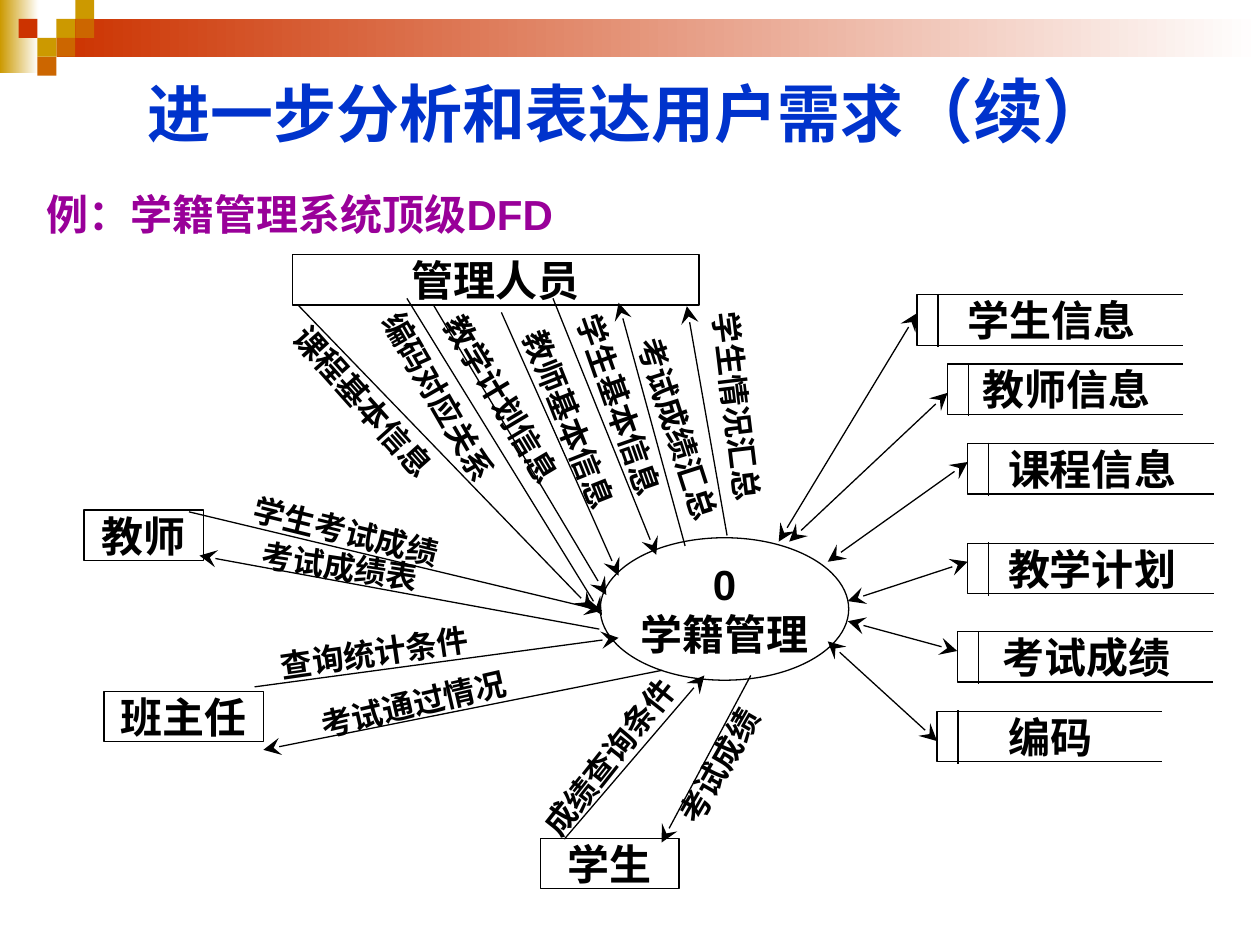
import pptx
import pptx.util
import pptx.dml.color
import pptx.enum.shapes
import pptx.enum.text
from lxml import etree

Pt = pptx.util.Pt
RGB = pptx.dml.color.RGBColor.from_string
SHAPE = pptx.enum.shapes.MSO_SHAPE
ALIGN = pptx.enum.text.PP_ALIGN
ANCHOR = pptx.enum.text.MSO_ANCHOR
FIT = pptx.enum.text.MSO_AUTO_SIZE
A = "{http://schemas.openxmlformats.org/drawingml/2006/main}"
C = {"gold": "CC9900", "red": "CC3300", "orange": "CC6600", "blue": "0033CC",
     "purple": "990099", "black": "000000", "white": "FFFFFF"}

prs = pptx.Presentation()
prs.slide_width, prs.slide_height = Pt(720), Pt(540)
s = prs.slides.add_slide(prs.slide_layouts[5])


def write(sp, text, size, color="black", align=ALIGN.LEFT, inset=0):
    tf = sp.text_frame
    tf.text = text
    tf.word_wrap = True
    tf.margin_left = tf.margin_right = Pt(inset)
    tf.margin_top = tf.margin_bottom = Pt(inset / 2)
    for p in tf.paragraphs:
        p.alignment = align
        for r in p.runs:
            r.font.name, r.font.size, r.font.bold = "Arial", Pt(size), True
            r.font.color.rgb = RGB(C[color])
    return tf


def connect(x1, y1, x2, y2, color="black", width=0.75, ends=()):
    cn = s.shapes.add_connector(pptx.enum.shapes.MSO_CONNECTOR.STRAIGHT,
                                Pt(x1), Pt(y1), Pt(x2), Pt(y2))
    cn.line.color.rgb = RGB(C[color])
    cn.line.width = Pt(width)
    for end in ends:
        etree.SubElement(cn.line._get_or_add_ln(), A + end,
                         type="stealth", w="lg", len="lg")
    etree.SubElement(cn._element.spPr, A + "effectLst")


# Fading bars in the top band
for x, y, w, h, color in [(0, 0, 22, 42, "gold"), (32.4, 10.8, 687.6, 21.6, "red")]:
    sp = s.shapes.add_shape(SHAPE.RECTANGLE, Pt(x), Pt(y), Pt(w), Pt(h))
    sp.shadow.inherit = False
    sp.line.fill.background()
    sp.fill.gradient()
    sp.fill.gradient_angle = 0
    for stop, name, position in zip(sp.fill.gradient_stops, (color, "white"), (0, 1)):
        stop.color.rgb = RGB(C[name])
        stop.position = position

# Mosaic squares, by column and row
side = 10.8
for col, row, color in [(3, 1, "gold"), (4, 0, "gold"), (4, 1, "orange"), (2, 3, "gold"),
                        (1, 1, "red"), (3, 2, "orange"), (2, 3, "orange"), (2, 2, "gold")]:
    if (col, row, color) == (2, 3, "gold"):
        continue
    sp = s.shapes.add_shape(SHAPE.RECTANGLE, Pt(col * side - 0.2), Pt(row * side),
                            Pt(side), Pt(side))
    sp.shadow.inherit = False
    sp.line.fill.background()
    sp.fill.solid()
    sp.fill.fore_color.rgb = RGB(C[color])

# Title and subtitle
title = s.shapes.title
title.left, title.top, title.width, title.height = Pt(36), Pt(36), Pt(648), Pt(52.6)
tf = write(title, "进一步分析和表达用户需求", 36, "blue", ALIGN.CENTER, 7.2)
tf.vertical_anchor = ANCHOR.MIDDLE
tf.auto_size = FIT.NONE
r = tf.paragraphs[0].add_run()
r.text = "（续）"
r.font.name, r.font.size, r.font.bold = "Arial", Pt(40), True
r.font.color.rgb = RGB(C["blue"])

sp = s.shapes.add_textbox(Pt(19.5), Pt(100), Pt(675), Pt(45))
p = write(sp, "例：学籍管理系统顶级DFD", 24, "purple", inset=7.2).paragraphs[0]
p.line_spacing, p.space_before = 1.15, Pt(4.5)

# Process, external entities and data stores
box_h = 28.8
stores = [("学生信息", 524, 168.5, 153.5), ("教师信息", 541.5, 208, 136),
          ("课程信息", 553, 253.5, 142), ("教学计划", 553, 310.5, 142),
          ("考试成绩", 547, 361, 147.5), ("编码", 535.5, 406.5, 130)]
entities = [("教师", 48, 291.5, 68.5), ("管理人员", 167, 145.5, 232.5),
            ("学生", 309, 479, 79), ("班主任", 59.5, 395, 91)]
nodes = [("0\n学籍管理", 343, 307.3, 142, 81.4, SHAPE.OVAL)]
nodes += [(*box, box_h, SHAPE.RECTANGLE) for box in entities + stores]
for text, x, y, w, h, kind in nodes:
    sp = s.shapes.add_shape(kind, Pt(x), Pt(y), Pt(w), Pt(h))
    sp.shadow.inherit = False
    sp.fill.background()
    sp.line.color.rgb = RGB(C["black"])
    sp.line.width = Pt(0.75)
    tf = write(sp, text, 24, align=ALIGN.CENTER)
    tf.vertical_anchor = ANCHOR.MIDDLE
    tf.auto_size = FIT.SHAPE_TO_FIT_TEXT

# Each store has a divider and an open right side
for text, x, y, w in stores:
    connect(x + 12, y - 0.5, x + 12, y + 30)
    connect(x + w, y - 0.5, x + w, y + 30, "white", 3)

# Two-way flows between the process and the stores
for ends in [(445, 309.5, 524, 179), (451, 309.5, 541.5, 224.5), (473, 321, 553, 264),
             (484.5, 343.5, 553, 321), (484.5, 355, 547, 372), (473, 366.5, 535.5, 423.5)]:
    connect(*ends, ends=("headEnd", "tailEnd"))

# Labelled flows: start and end of arrow, then label left, top, width, rotation
flows = [
    ("学生情况汇总", (415.5, 306, 392.5, 175), (363.5, 225.5, 116.5, 83.1)),
    ("考试成绩汇总", (391.5, 312, 353.5, 173), (332.5, 235.5, 111, 72.2)),
    ("学生基本信息", (316, 170.5, 375, 317), (293, 230.5, 129, 70.7)),
    ("教师基本信息", (286.5, 178.5, 353.5, 329), (260.5, 245, 142.5, 68.4)),
    ("教学计划信息", (247.5, 174, 346.5, 340), (228, 226, 128, 59.1)),
    ("编码对应关系", (232.5, 170.5, 344, 351.5), (192, 224.5, 128, 60)),
    ("课程基本信息", (170, 174, 338.5, 348.5), (150.5, 226, 128, 48.2)),
    ("学生考试成绩", (108, 292.5, 344, 349), (143.5, 295, 128, 13.8)),
    ("考试成绩表", (342.5, 359.5, 114, 317.5), (149, 315.5, 128, 8.6)),
    ("考试通过情况", (378.5, 383, 150.5, 428.5), (182, 389, 128, 347)),
    ("查询统计条件", (145.5, 392.5, 353.5, 364.5), (160, 360.5, 128, 351.8)),
    ("成绩查询条件", (322.5, 479.5, 402.5, 386), (291.5, 416, 122.5, 308.3)),
    ("考试成绩", (429, 386, 378, 481.5), (371, 420.5, 86.5, 299.9)),
]
for text, arrow, (x, y, w, angle) in flows:
    connect(*arrow, ends=("tailEnd",))
    sp = s.shapes.add_textbox(Pt(x), Pt(y), Pt(w), Pt(21.6))
    sp.rotation = angle
    tf = write(sp, text, 18)
    tf.auto_size = FIT.SHAPE_TO_FIT_TEXT
    tf.paragraphs[0].space_before = Pt(11.2)

prs.save("out.pptx")
